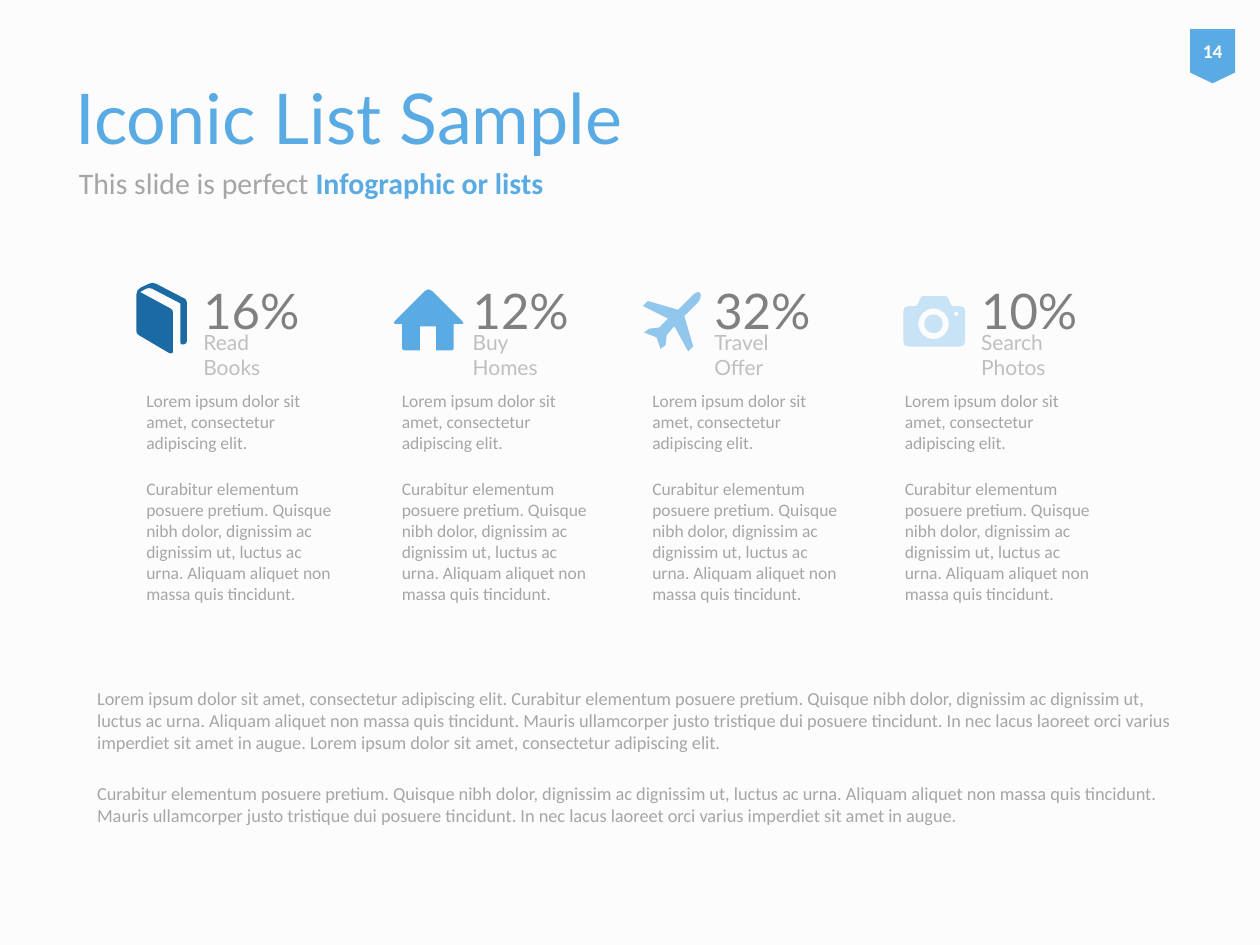
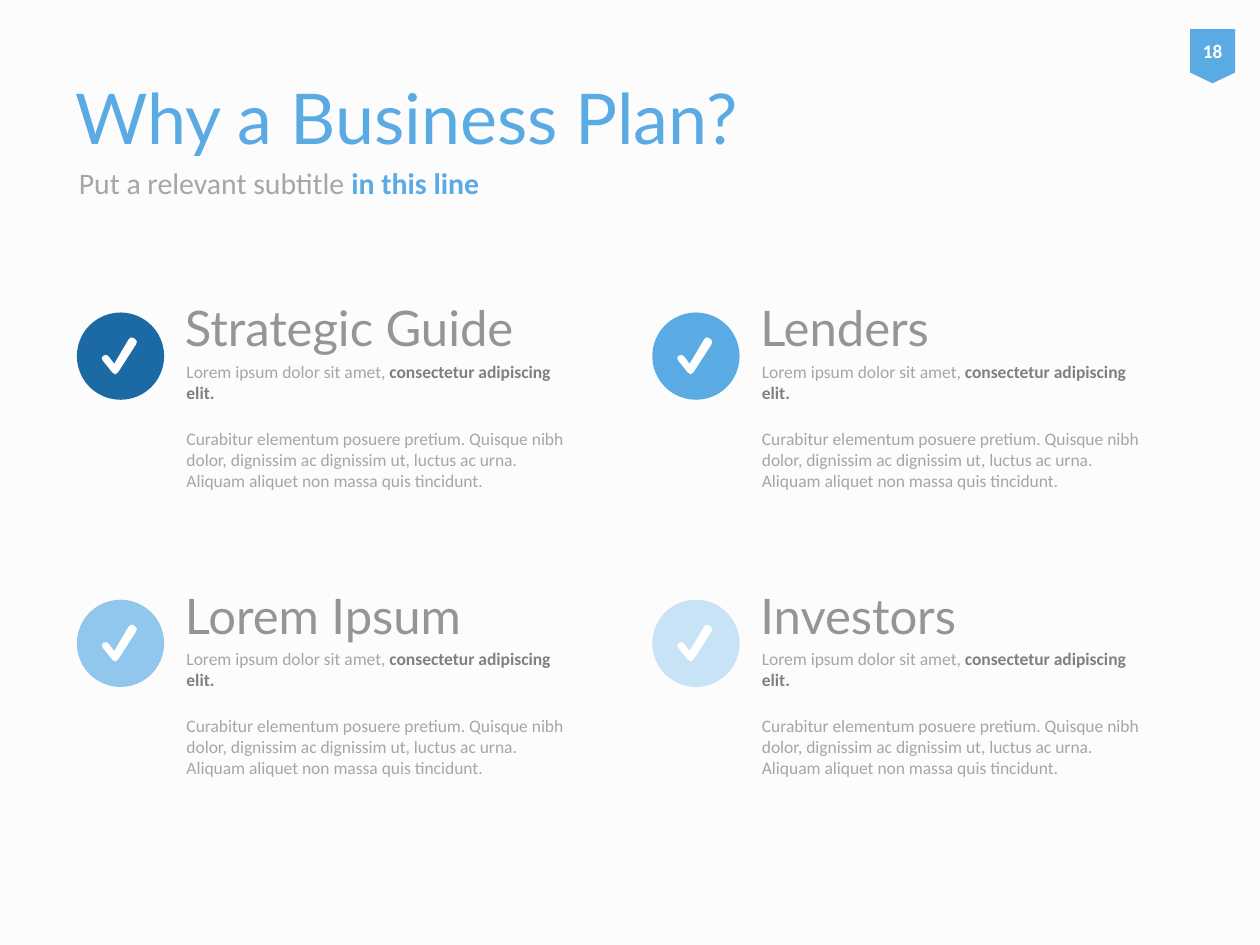
import math

import pptx
import pptx.dml.color
import pptx.enum.shapes
import pptx.enum.text
import pptx.util

Cm = pptx.util.Cm
Pt = pptx.util.Pt
SHAPE = pptx.enum.shapes.MSO_SHAPE
ANCHOR = pptx.enum.text.MSO_ANCHOR
ALIGN = pptx.enum.text.PP_ALIGN

HEAD_FONT, BODY_FONT = "Lato", "Calibri"
NAVY, BLUE, SKY, PALE = "1B6AA3", "5AAAE4", "91C6ED", "C8E3F6"
PAPER, WHITE = "FCFCFC", "FFFFFF"
DARK_GREY, HEAD_GREY, GREY, LIGHT_GREY = "808080", "959595", "A6A6A6", "BFBFBF"
BODY_GAP = 14.4

OPENING = "Lorem ipsum dolor sit amet, consectetur adipiscing elit."
CURABITUR = ("Curabitur elementum posuere pretium. Quisque nibh dolor, dignissim ac "
             "dignissim ut, luctus ac urna. Aliquam aliquet non massa quis tincidunt.")
MAURIS = ("Mauris ullamcorper justo tristique dui posuere tincidunt. In nec lacus "
          "laoreet orci varius imperdiet sit amet in augue.")

# Icon outlines: corners as (x, y, rounding) in hundredths of an inch
ICON_UNIT = Cm(2.54) / 100
BOOK = [(40, 15, 2), (13, 1, 3), (0, 7, 4), (0, 42, 2), (27, 58, 2), (29, 57, 0),
        (29, 23, 2), (3, 9, 0), (10, 5, 3), (35, 18, 0), (35, 51, 2), (40, 50, 2)]
HOUSE = [(28, -1, 4), (57, 28, 3), (48, 28, 0), (48, 49, 2), (34, 49, 0), (34, 30, 0),
         (21, 30, 0), (21, 49, 0), (7, 49, 2), (7, 28, 0), (-1, 28, 3)]
PLANE = [(36, 49, 0), (40, 45, 0), (33, 21, 0), (43, 11, 0), (46, 7, 3), (46, 2, 2),
         (42, 2, 3), (38, 6, 0), (28, 16, 0), (4, 9, 0), (0, 13, 0), (20, 23, 0),
         (13, 30, 0), (5, 31, 0), (1, 34, 0), (11, 38, 0), (14, 47, 0), (18, 44, 0),
         (19, 36, 0), (25, 29, 0)]
CAMERA = [(0, 8, 4), (11, 8, 2), (14, 0, 2), (35, 0, 2), (38, 8, 2), (49, 8, 4),
          (49, 40, 4), (0, 40, 4)]
CHECK = [(11, 31, 4), (-1, 16, 3), (4, 13, 3), (10, 21, 0), (23, -1, 3), (29, 3, 3)]


def rgb(color):
    return pptx.dml.color.RGBColor.from_string(color)


def paint(sp, color):
    sp.shadow.inherit = False
    sp.fill.solid()
    sp.fill.fore_color.rgb = rgb(color)
    sp.line.fill.background()


def style(r, size, color, font=BODY_FONT, bold=False):
    r.font.name = font
    r.font.size = Pt(size)
    r.font.bold = bold
    r.font.color.rgb = rgb(color)


def add_text(s, left, top, width, height, paragraphs, size, font=BODY_FONT,
             anchor=ANCHOR.TOP, gap=0):
    """Each paragraph is a list of (text, color, bold) runs; gap is in points."""
    tf = s.shapes.add_textbox(Cm(left), Cm(top), Cm(width), Cm(height)).text_frame
    tf.word_wrap = True
    tf.vertical_anchor = anchor
    for i, runs in enumerate(paragraphs):
        p = tf.add_paragraph() if i else tf.paragraphs[0]
        if i:
            p.space_before = Pt(gap)
        for text, color, bold in runs:
            r = p.add_run()
            r.text = text
            style(r, size, color, font, bold)


def rounded(corners):
    """Replace each rounded corner by the ends and middle of a quadratic curve."""
    points = []
    for i, (x, y, radius) in enumerate(corners):
        if not radius:
            points.append((x, y))
            continue
        ends = []
        for nx, ny, _ in (corners[i - 1], corners[(i + 1) % len(corners)]):
            t = min(radius / math.hypot(nx - x, ny - y), 0.5)
            ends.append((x + (nx - x) * t, y + (ny - y) * t))
        (ax, ay), (bx, by) = ends
        points += [(ax, ay), ((ax + 2 * x + bx) / 4, (ay + 2 * y + by) / 4), (bx, by)]
    return points


def circle(cx, cy, radius, steps):
    angles = [2 * math.pi * i / steps for i in range(steps)]
    return [(cx + radius * math.cos(a), cy + radius * math.sin(a)) for a in angles]


def add_icon(s, left, top, contours, color):
    contours = [[(x * ICON_UNIT, y * ICON_UNIT) for x, y in c] for c in contours]
    builder = s.shapes.build_freeform(*contours[0][0], scale=1.0)
    for i, points in enumerate(contours):
        if i:
            builder.move_to(*points[0])
        builder.add_line_segments(points[1:], close=True)
    paint(builder.convert_to_shape(Cm(left), Cm(top)), color)


def add_slide(prs, title, subtitle, emphasis, number):
    """Add a slide with the shared title, subtitle and page badge."""
    s = prs.slides.add_slide(prs.slide_layouts[5])
    sp = s.shapes.title
    sp.left, sp.top, sp.width, sp.height = Cm(1.27), Cm(0.76), Cm(22.86), Cm(3.18)
    tf = sp.text_frame
    tf.text = title
    tf.vertical_anchor = ANCHOR.MIDDLE
    tf.paragraphs[0].alignment = ALIGN.LEFT
    style(tf.paragraphs[0].runs[0], 40, BLUE, HEAD_FONT)

    add_text(s, 1.34, 3, 22.86, 1.35,
             [[(subtitle, GREY, False), (emphasis, BLUE, True)]], 17,
             anchor=ANCHOR.MIDDLE)

    badge = s.shapes.add_shape(SHAPE.FLOWCHART_OFFPAGE_CONNECTOR,
                               Cm(23.99), Cm(0.59), Cm(0.91), Cm(1.09))
    paint(badge, BLUE)
    tf = badge.text_frame
    tf.margin_left = tf.margin_right = tf.margin_top = tf.margin_bottom = 0
    tf.vertical_anchor = ANCHOR.MIDDLE
    tf.text = str(number)
    tf.paragraphs[0].alignment = ALIGN.CENTER
    style(tf.paragraphs[0].runs[0], 11, WHITE, bold=True)
    return s


def add_stat_column(s, left, top, contours, color, icon_at, stat_dx, stat, label,
                    label_width=2.57):
    add_icon(s, left + icon_at[0], top + icon_at[1], contours, color)
    add_text(s, left + stat_dx, top, 2.57, 1.27,
             [[(stat, DARK_GREY, False)]], 28, HEAD_FONT)
    add_text(s, left + stat_dx, top + 0.98, label_width, 0.79,
             [[(label, LIGHT_GREY, False)]], 12, HEAD_FONT)
    add_text(s, left, top + 2.19, 4.32, 6.3,
             [[(OPENING, GREY, False)], [(CURABITUR, GREY, False)]], 10, gap=BODY_GAP)


def add_check_item(s, left, top, heading, color):
    disc = s.shapes.add_shape(SHAPE.OVAL, Cm(left), Cm(top), Cm(1.76), Cm(1.76))
    paint(disc, color)
    add_icon(s, left + 0.5, top + 0.5, [rounded(CHECK)], WHITE)
    add_text(s, left + 1.93, top - 0.69, 8, 1.98,
             [[(heading, HEAD_GREY, False)]], 28, HEAD_FONT, ANCHOR.MIDDLE)
    add_text(s, left + 1.96, top + 0.85, 8.41, 2.95,
             [[("Lorem ipsum dolor sit amet, ", GREY, False),
               ("consectetur adipiscing elit.", DARK_GREY, True)],
              [(CURABITUR, GREY, False)]], 10, gap=BODY_GAP)


def build_iconic_list(prs):
    s = add_slide(prs, "Iconic List Sample", "This slide is perfect ",
                  "Infographic or lists", 14)
    camera = [rounded(CAMERA), circle(24, 22, 12.2, 16), circle(24, 22, 7.4, 16),
              circle(42, 14, 1.8, 8)]
    top = 5.54
    add_stat_column(s, 2.7, top, [rounded(BOOK)], NAVY, (0.05, 0.12), 1.15,
                    "16%", "Read Books")
    add_stat_column(s, 7.85, top, [rounded(HOUSE)], BLUE, (0.08, 0.28), 1.43,
                    "12%", "Buy Homes")
    add_stat_column(s, 12.9, top, [rounded(PLANE)], SKY, (0.06, 0.3), 1.25,
                    "32%", "Travel Offer")
    add_stat_column(s, 17.99, top, camera, PALE, (0.22, 0.43), 1.54,
                    "10%", "Search Photos", 3.1)
    add_text(s, 1.71, 13.72, 22.2, 2.26,
             [[(f"{OPENING} {CURABITUR} {MAURIS} {OPENING}", GREY, False)],
              [(f"{CURABITUR} {MAURIS}", GREY, False)]], 10.5, gap=16.5)


def build_business_plan(prs):
    s = add_slide(prs, "Why a Business Plan?", "Put a relevant subtitle ",
                  "in this line", 18)
    items = [("Strategic Guide", NAVY), ("Lenders", BLUE),
             ("Lorem Ipsum", SKY), ("Investors", PALE)]
    for i, (heading, color) in enumerate(items):
        row, col = divmod(i, 2)
        add_check_item(s, 1.55 + 11.6 * col, 6.3 + 5.79 * row, heading, color)


def main():
    prs = pptx.Presentation()
    prs.slide_width, prs.slide_height = Cm(25.4), Cm(19.05)
    fill = prs.slide_master.background.fill
    fill.solid()
    fill.fore_color.rgb = rgb(PAPER)
    build_iconic_list(prs)
    build_business_plan(prs)
    prs.save("out.pptx")


if __name__ == "__main__":
    main()
